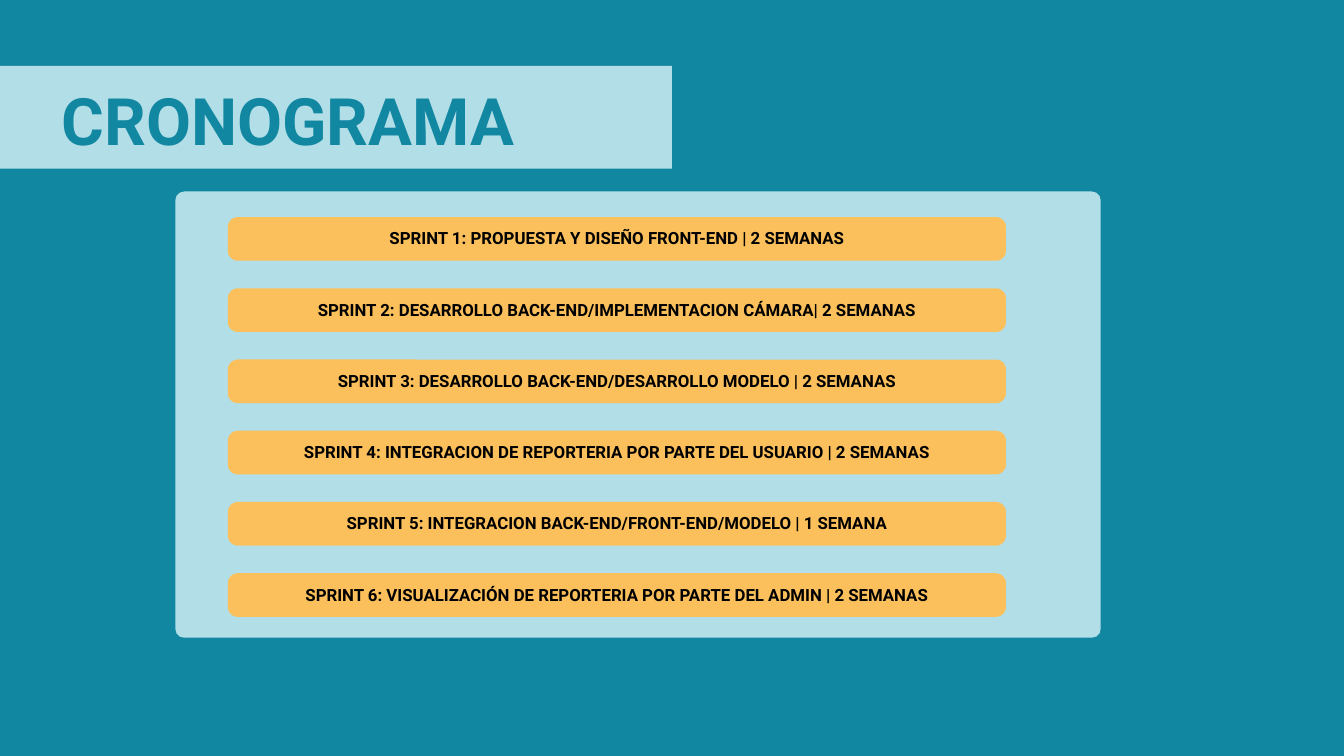
from dataclasses import dataclass

from pptx import Presentation
from pptx.dml.color import RGBColor
from pptx.enum.shapes import MSO_SHAPE as Preset
from pptx.enum.text import MSO_ANCHOR as Anchor, MSO_AUTO_SIZE as AutoSize, PP_ALIGN as Align
from pptx.shapes.autoshape import Shape
from pptx.slide import Slide
from pptx.text.text import TextFrame
from pptx.util import Inches, Pt

TEAL = RGBColor(0x11, 0x87, 0xA1)
PALE_BLUE = RGBColor(0xB2, 0xDE, 0xE8)
AMBER = RGBColor(0xFB, 0xC0, 0x5C)
BLACK = RGBColor(0, 0, 0)
FONT = "Roboto"

SPRINTS = [
    "SPRINT 1: PROPUESTA Y DISEÑO FRONT-END | 2 SEMANAS",
    "SPRINT 2: DESARROLLO BACK-END/IMPLEMENTACION CÁMARA| 2 SEMANAS",
    "SPRINT 3: DESARROLLO BACK-END/DESARROLLO MODELO | 2 SEMANAS",
    "SPRINT 4: INTEGRACION DE REPORTERIA POR PARTE DEL USUARIO | 2 SEMANAS",
    "SPRINT 5: INTEGRACION BACK-END/FRONT-END/MODELO | 1 SEMANA",
    "SPRINT 6: VISUALIZACIÓN DE REPORTERIA POR PARTE DEL ADMIN | 2 SEMANAS",
]
SPRINT_TOP = 3.23
SPRINT_STEP = 1.06


@dataclass(frozen=True)
class Block:
    left: float
    top: float
    width: float
    height: float
    fill: RGBColor
    radius: float = 0


@dataclass(frozen=True)
class TextStyle:
    size: float
    leading: float
    color: RGBColor
    align: Align
    anchor: Anchor
    inset: float = 0


TITLE_STYLE = TextStyle(70, 98, TEAL, Align.LEFT, Anchor.TOP)
SPRINT_STYLE = TextStyle(18, 20.3, BLACK, Align.CENTER, Anchor.MIDDLE, 0.06)


def draw_block(slide: Slide, block: Block) -> Shape:
    preset = Preset.ROUNDED_RECTANGLE if block.radius else Preset.RECTANGLE
    shape = slide.shapes.add_shape(
        preset, Inches(block.left), Inches(block.top), Inches(block.width), Inches(block.height)
    )
    if block.radius:
        shape.adjustments[0] = block.radius / min(block.width, block.height)
    shape.shadow.inherit = False
    shape.fill.solid()
    shape.fill.fore_color.rgb = block.fill
    shape.line.fill.background()
    return shape


def write(frame: TextFrame, text: str, style: TextStyle) -> None:
    frame.word_wrap = True
    frame.auto_size = AutoSize.NONE
    frame.vertical_anchor = style.anchor
    inset = Inches(style.inset)
    frame.margin_left = frame.margin_right = inset
    frame.margin_top = frame.margin_bottom = inset
    paragraph = frame.paragraphs[0]
    paragraph.alignment = style.align
    paragraph.line_spacing = Pt(style.leading)
    run = paragraph.add_run()
    run.text = text
    run.font.name = FONT
    run.font.size = Pt(style.size)
    run.font.bold = True
    run.font.color.rgb = style.color


def add_title(slide: Slide, text: str) -> None:
    """Fill the title placeholder and bring it in front of the band."""
    title = slide.shapes.title
    title.left, title.top = Inches(0.92), Inches(1)
    title.width, title.height = Inches(12.84), Inches(1.32)
    write(title.text_frame, text, TITLE_STYLE)
    title.element.getparent().append(title.element)


def main() -> None:
    deck = Presentation()
    deck.slide_width, deck.slide_height = Inches(20), Inches(11.25)
    slide = deck.slides.add_slide(deck.slide_layouts[5])
    slide.background.fill.solid()
    slide.background.fill.fore_color.rgb = TEAL

    draw_block(slide, Block(-0.94, 0.98, 10.94, 1.53, PALE_BLUE))
    draw_block(slide, Block(2.61, 2.85, 13.77, 6.64, PALE_BLUE, radius=0.13))
    add_title(slide, "CRONOGRAMA")
    for row, sprint in enumerate(SPRINTS):
        top = SPRINT_TOP + row * SPRINT_STEP
        bar = draw_block(slide, Block(3.39, top, 11.58, 0.65, AMBER, radius=0.15))
        write(bar.text_frame, sprint, SPRINT_STYLE)

    deck.save("out.pptx")


if __name__ == "__main__":
    main()
